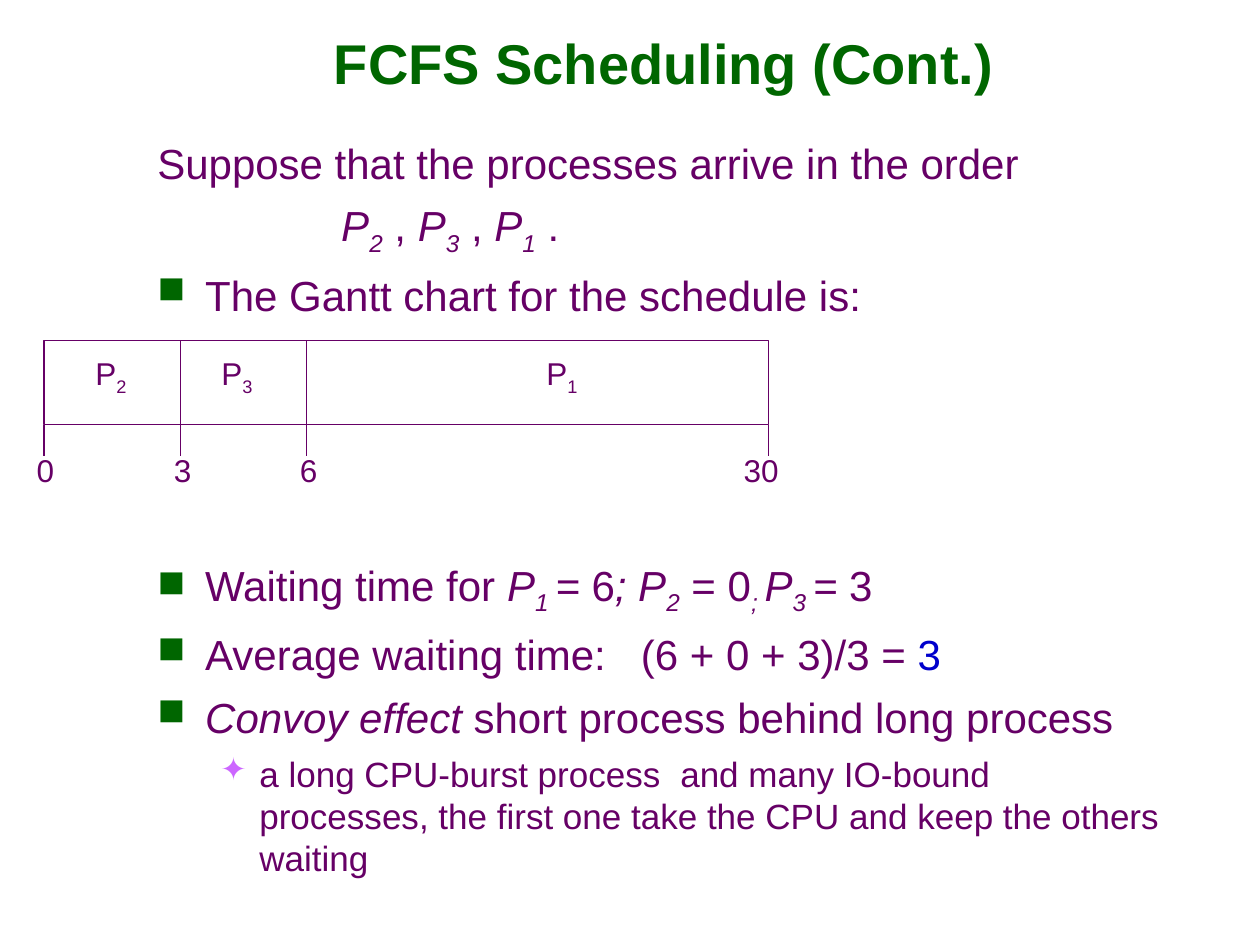
import pptx
import pptx.dml.color
import pptx.enum.shapes
import pptx.enum.text
import pptx.oxml
import pptx.oxml.ns
import pptx.util
from pptx.util import Inches

ANCHOR = pptx.enum.text.MSO_ANCHOR
ALIGN = pptx.enum.text.PP_ALIGN

PURPLE, GREEN, BLUE, LILAC = "660066", "006600", "0000CC", "CC66FF"
ITALIC = {"italic": True}
SUBSCRIPT = {"subscript": True}
ITALIC_SUB = {"italic": True, "subscript": True}
SQUARE = ("■", GREEN)
STAR = ("✦", LILAC)


def rgb(hex_color):
    return pptx.dml.color.RGBColor.from_string(hex_color)


def add_bullet(paragraph, symbol, color):
    properties = paragraph._p.get_or_add_pPr()
    namespace = pptx.oxml.ns.nsdecls("a")
    for xml in (
        f'<a:buClr {namespace}><a:srgbClr val="{color}"/></a:buClr>',
        f'<a:buSzPct {namespace} val="90000"/>',
        f'<a:buChar {namespace} char="{symbol}"/>',
    ):
        properties.append(pptx.oxml.parse_xml(xml))


def write(paragraph, runs, size=24, color=PURPLE, bold=False, align=ALIGN.LEFT,
          bullet=None, left=0, hanging=0, before=0):
    """Fill a paragraph with (text, format) runs; left and hanging are in inches."""
    properties = paragraph._p.get_or_add_pPr()
    properties.set("marL", str(Inches(left)))
    properties.set("indent", str(-Inches(hanging)))
    if bullet:
        add_bullet(paragraph, *bullet)
    paragraph.alignment = align
    paragraph.space_before = pptx.util.Pt(before)
    for text, style in runs:
        run = paragraph.add_run()
        run.text = text
        font = run.font
        font.name = "Arial"
        font.size = pptx.util.Pt(size)
        font.bold = bold
        font.italic = style.get("italic", False)
        font.color.rgb = rgb(style.get("color", color))
        if style.get("subscript"):
            font._element.set("baseline", "-25000")
        if "tracking" in style:
            font._element.set("spc", str(style["tracking"]))


def add_text_frame(slide, left, top, width, height, anchor=ANCHOR.TOP, wrap=True):
    frame = slide.shapes.add_textbox(
        Inches(left), Inches(top), Inches(width), Inches(height)).text_frame
    frame.word_wrap = wrap
    frame.vertical_anchor = anchor
    return frame


def add_title(slide, left, top, width, height):
    frame = add_text_frame(slide, left, top, width, height, ANCHOR.MIDDLE)
    write(frame.paragraphs[0], [("FCFS Scheduling (Cont.)", {})],
          size=32, color=GREEN, bold=True, align=ALIGN.CENTER)


def add_body(slide, left, top, width, height, items):
    """Stack (runs, format) items as paragraphs with even gaps."""
    frame = add_text_frame(slide, left, top, width, height)
    for index, (runs, style) in enumerate(items):
        paragraph = frame.add_paragraph() if index else frame.paragraphs[0]
        write(paragraph, runs, **{"before": 7 if index else 0, **style})


def add_rule(slide, x, top, bottom):
    rule = slide.shapes.add_connector(
        pptx.enum.shapes.MSO_CONNECTOR.STRAIGHT,
        Inches(x), Inches(top), Inches(x), Inches(bottom))
    rule.line.color.rgb = rgb(PURPLE)
    rule.line.width = pptx.util.Pt(0.75)
    rule._element.spPr.append(pptx.oxml.parse_xml(
        f'<a:effectLst {pptx.oxml.ns.nsdecls("a")}/>'))


def add_gantt_label(slide, center, top, width, height, runs):
    frame = add_text_frame(slide, center - width / 2, top, width, height,
                           ANCHOR.MIDDLE, wrap=False)
    write(frame.paragraphs[0], runs, size=18, align=ALIGN.CENTER)


def add_gantt(slide, left, top, width, height):
    bar = slide.shapes.add_shape(
        pptx.enum.shapes.MSO_SHAPE.RECTANGLE,
        Inches(left), Inches(top), Inches(width), Inches(height))
    bar.shadow.inherit = False
    bar.fill.solid()
    bar.fill.fore_color.rgb = rgb("FFFFFF")
    bar.line.color.rgb = rgb(PURPLE)
    bar.line.width = pptx.util.Pt(0.75)

    bottom = top + height
    for number, center in (("2", 0.53), ("3", 1.53), ("1", 4.11)):
        add_gantt_label(slide, left + center, top + 0.06, 0.45, 0.44,
                        [("P", {}), (number, SUBSCRIPT)])
    # Time, tick offset, label centre offset, label width
    for time, tick, center, label_width in (
        ("0", 0, 0.01, 0.34),
        ("3", 1.08, 1.1, 0.34),
        ("6", 2.08, 2.1, 0.34),
        ("30", width, 5.69, 0.48),
    ):
        if 0 < tick < width:
            add_rule(slide, left + tick, top, bottom)
        add_rule(slide, left + tick, bottom, bottom + 0.25)
        add_gantt_label(slide, left + center, bottom + 0.16, label_width, 0.4,
                        [(time, {})])


def main():
    presentation = pptx.Presentation()
    presentation.slide_width = Inches(10)
    presentation.slide_height = Inches(7.5)
    slide = presentation.slides.add_slide(presentation.slide_layouts[6])

    point = {"bullet": SQUARE, "left": 0.38, "hanging": 0.38}
    subpoint = {"bullet": STAR, "left": 0.81, "hanging": 0.31, "size": 20, "before": 6}
    arrival = [
        ([("Suppose that the processes arrive in the order", {})], {}),
        ([("P", ITALIC), ("2", ITALIC_SUB), (" , ", {}),
          ("P", ITALIC), ("3", ITALIC_SUB), (" , ", {}),
          ("P", ITALIC), ("1", ITALIC_SUB), (" .", {})], {"left": 1.46}),
        ([("The Gantt chart for the schedule is:", {})], point),
    ]
    waiting = [
        ([("Waiting time for ", {}), ("P", ITALIC), ("1 ", ITALIC_SUB),
          ("=", ITALIC), (" 6", {}), ("; P", ITALIC), ("2", ITALIC_SUB),
          (" = 0", {}), ("; ", ITALIC_SUB), ("P", ITALIC), ("3 ", ITALIC_SUB),
          ("= ", ITALIC), ("3", {})], point),
        ([("Average waiting time:", {}), (" ", {"tracking": 1334}),
          ("(6 + 0 + 3)/3 = ", {}), ("3", {"color": BLUE})], point),
        ([("Convoy effect", ITALIC),
          (" short process behind long process", {})], point),
        ([("a long CPU-burst process", {}), (" ", {"tracking": 556}),
          ("and many IO-bound processes, the first one take the CPU "
           "and keep the others waiting", {})], subpoint),
    ]

    add_title(slide, 1.28, 0.03, 7.98, 0.92)
    add_body(slide, 1.15, 1.04, 8.18, 1.55, arrival)
    add_gantt(slide, 0.35, 2.7, 5.75, 0.67)
    add_body(slide, 1.15, 4.39, 8.18, 2.49, waiting)
    presentation.save("out.pptx")


if __name__ == "__main__":
    main()
